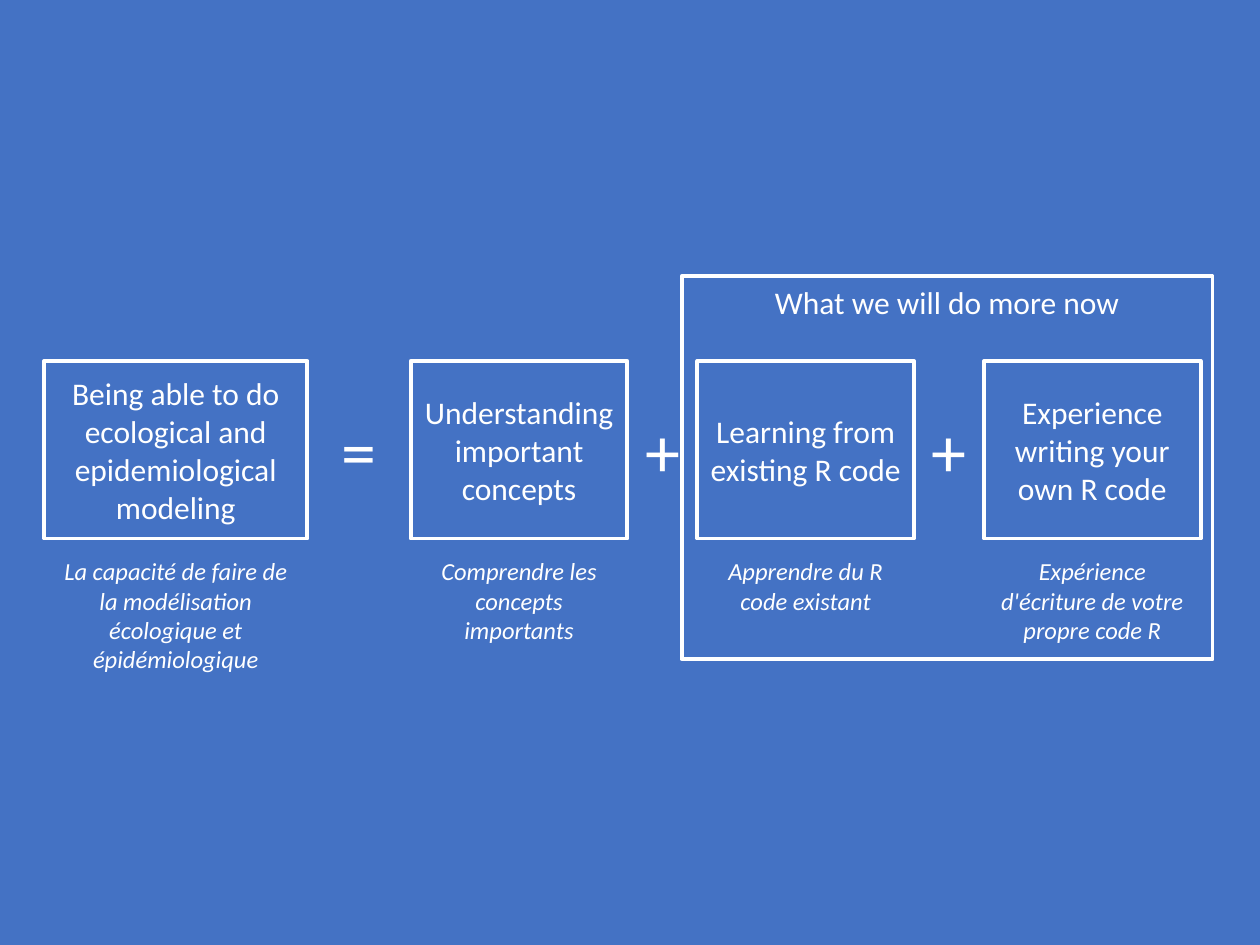
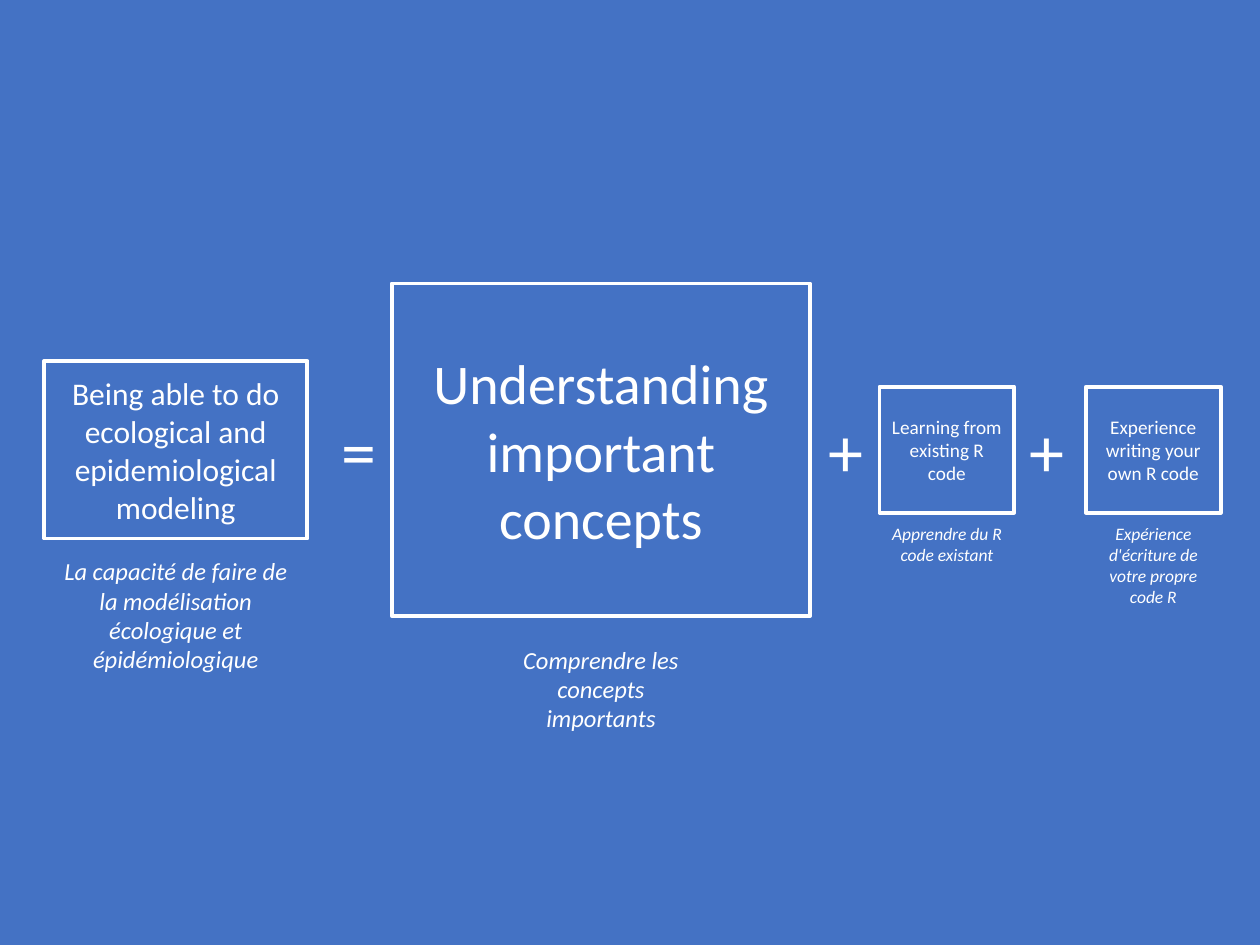
from dataclasses import dataclass

from pptx import Presentation
from pptx import util as u
from pptx.dml.color import RGBColor
from pptx.enum import shapes, text


@dataclass(frozen=True)
class Theme:
    blue: RGBColor = RGBColor(0x44, 0x72, 0xC4)
    white: RGBColor = RGBColor(0xFF, 0xFF, 0xFF)
    font: str = "Calibri"
    body: int = 18
    large: int = 32
    small: int = 11
    caption: int = 14
    small_caption: int = 10
    sign: int = 40
    border: float = 2.25


theme = Theme()


def add_rectangle(page, left, top, width, height, filled=True, outlined=False):
    box = page.shapes.add_shape(
        shapes.MSO_SHAPE.RECTANGLE, u.Pt(left), u.Pt(top), u.Pt(width), u.Pt(height)
    )
    box.shadow.inherit = False
    if filled:
        box.fill.solid()
        box.fill.fore_color.rgb = theme.blue
    else:
        box.fill.background()
    if outlined:
        box.line.color.rgb = theme.white
        box.line.width = u.Pt(theme.border)
    else:
        box.line.fill.background()
    return box


def write(box, words, size, anchor, italic=None):
    frame = box.text_frame
    frame.text = words
    frame.word_wrap = True
    frame.vertical_anchor = anchor
    para = frame.paragraphs[0]
    para.alignment = text.PP_ALIGN.CENTER
    span = para.runs[0]
    span.font.name = theme.font
    span.font.size = u.Pt(size)
    span.font.color.rgb = theme.white
    span.font.italic = italic


top_anchor = text.MSO_ANCHOR.TOP
middle_anchor = text.MSO_ANCHOR.MIDDLE

page_width, page_height = 720, 540
middle = 257
row_height = 101.5
term_width = 123.8
term_pitch = 163.8
first_term = 234.7
small_width, small_height = 77, 72
plus_width = 40.3

terms = [
    (
        "Being able to do ecological and epidemiological modeling",
        "La capacité de faire de la modélisation écologique et épidémiologique",
    ),
    ("Understanding important concepts", "Comprendre les concepts importants"),
    ("Learning from existing R code", "Apprendre du R code existant"),
    (
        "Experience writing your own R code",
        "Expérience d'écriture de votre propre code R",
    ),
]

# box: left, width, height, size; caption: gap, width, height, size
""
goal = ((25.2, 150.5, row_height, theme.body), (6.5, 150.5, row_height, theme.caption))
equal_caption = (6.5, term_width, row_height, theme.caption)
small_caption = (2.2, small_width, small_height, theme.small_caption)
equals_sign = ("=", 175.7, 59)

equal_layout = [goal] + [
    ((first_term + i * term_pitch, term_width, row_height, theme.body), equal_caption)
    for i in range(3)
]
concepts_layout = [
    goal,
    ((223.9, 239, 190, theme.large), (12.8, term_width, row_height, theme.caption)),
] + [
    ((left, small_width, small_height, theme.small), small_caption)
    for left in (502.6, 620.6)
]

slides = [
    (equal_layout, (358.5, 522.3), "What we will do more now"),
    (concepts_layout, (463, 578.2), None),
]

deck = Presentation()
deck.slide_width = u.Pt(page_width)
deck.slide_height = u.Pt(page_height)

for layout, plus_lefts, highlight in slides:
    page = deck.slides.add_slide(deck.slide_layouts[6])
    add_rectangle(page, 0, 0, page_width, page_height)

    for (english, french), ((left, width, height, size), _) in zip(terms, layout):
        box = add_rectangle(
            page, left, middle - height / 2, width, height, outlined=True
        )
        write(box, english, size, middle_anchor)

    signs = [equals_sign] + [("+", left, plus_width) for left in plus_lefts]
    for sign, left, width in signs:
        box = page.shapes.add_textbox(
            u.Pt(left), u.Pt(middle - row_height / 2), u.Pt(width), u.Pt(row_height)
        )
        write(box, sign, theme.sign, middle_anchor)

    for (english, french), (term, caption) in zip(terms, layout):
        term_left, box_width, box_height, _ = term
        gap, width, height, size = caption
        left = term_left + (box_width - width) / 2
        box = add_rectangle(page, left, middle + box_height / 2 + gap, width, height)
        write(box, french, size, top_anchor, italic=True)

    if highlight:
        frame = add_rectangle(
            page, 389.5, 157.9, 303.4, 218.8, filled=False, outlined=True
        )
        write(frame, highlight, theme.body, top_anchor)

deck.save("out.pptx")
